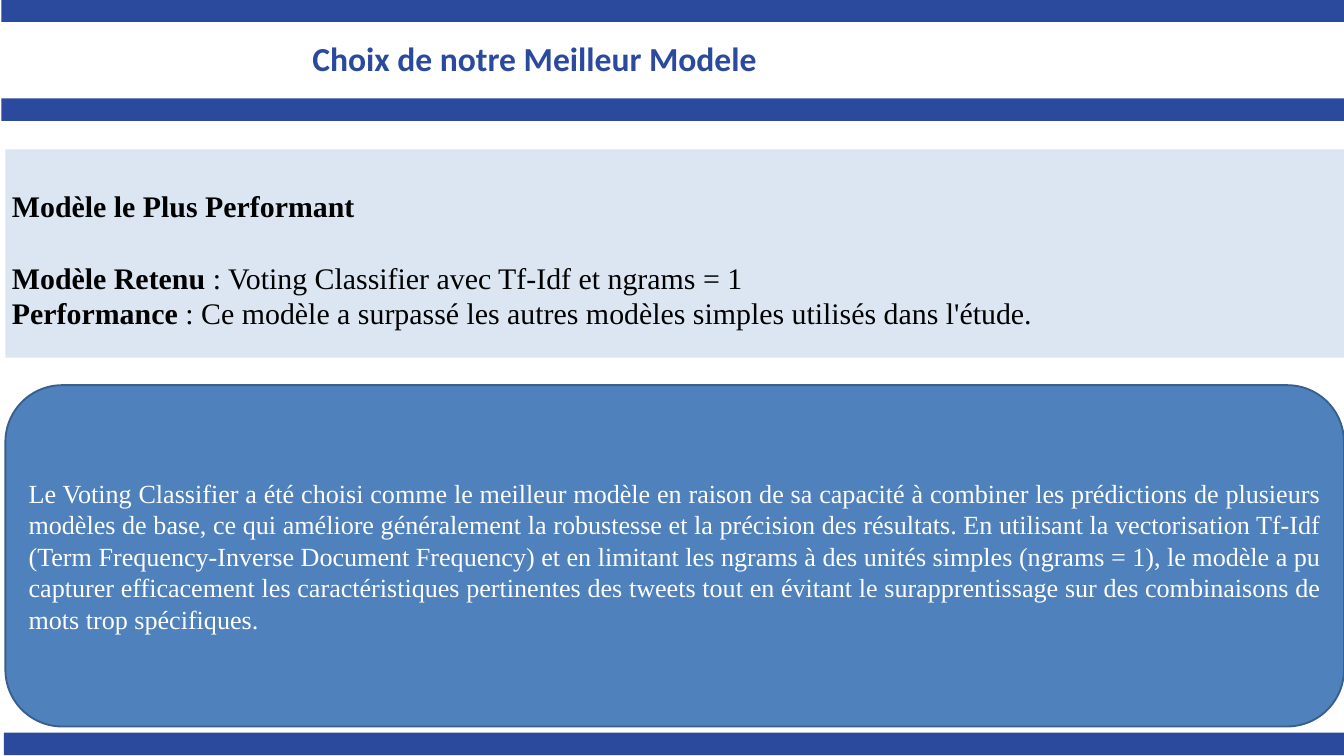
from pptx import Presentation
from pptx import util as u
from pptx.dml.color import RGBColor
from pptx.enum import shapes, text

COLORS = {
    "navy": "2B4A9D",
    "pale": "DCE6F2",
    "blue": "4F81BD",
    "edge": "3A5F8C",
    "black": "000000",
    "white": "FFFFFF",
}
SLIDE_W, SLIDE_H = u.Inches(20), u.Inches(11.25)
SERIF = "Times New Roman"
BAR_HEIGHT = 3

# Boxes are left, top, width, height in percent of the slide
BARS = [(0.1, -0.1), (0.1, 13), (0.3, 96.9)]
TITLE_BOX = (22.75, 4.53, 75.3, 11.64)
MODEL_BOX = (0.4, 19.75, 99.6, 27.55)
REASON_BOX = (0.4, 50.95, 99.6, 45.15)

TITLE = "Choix de notre Meilleur Modele"
HEADING = "Modèle le Plus Performant"
FACTS = [
    ("Modèle Retenu", " : Voting Classifier avec Tf-Idf et ngrams = 1"),
    ("Performance", " : Ce modèle a surpassé les autres modèles simples utilisés dans l'étude."),
]
REASON = (
    "Le Voting Classifier a été choisi comme le meilleur modèle en raison de sa capacité "
    "à combiner les prédictions de plusieurs modèles de base, ce qui améliore généralement "
    "la robustesse et la précision des résultats. En utilisant la vectorisation Tf-Idf "
    "(Term Frequency-Inverse Document Frequency) et en limitant les ngrams à des unités "
    "simples (ngrams = 1), le modèle a pu capturer efficacement les caractéristiques "
    "pertinentes des tweets tout en évitant le surapprentissage sur des combinaisons de "
    "mots trop spécifiques."
)


def color(name):
    return RGBColor.from_string(COLORS[name])


def place(box):
    """Turn percent shares into slide lengths."""
    left, top, width, height = box
    return (int(SLIDE_W * left / 100), int(SLIDE_H * top / 100),
            int(SLIDE_W * width / 100), int(SLIDE_H * height / 100))


def add_panel(slide, kind, box, fill, edge=None):
    panel = slide.shapes.add_shape(kind, *place(box))
    panel.shadow.inherit = False
    panel.fill.solid()
    panel.fill.fore_color.rgb = color(fill)
    if edge:
        panel.line.color.rgb = color(edge)
        panel.line.width = u.Pt(2)
    else:
        panel.line.fill.background()
    return panel


def add_run(paragraph, words, size, shade, font=SERIF, bold=False):
    run = paragraph.add_run()
    run.text = words
    run.font.name = font
    run.font.size = u.Pt(size)
    run.font.bold = bold
    run.font.color.rgb = color(shade)


def add_bars(slide):
    for left, top in BARS:
        add_panel(slide, shapes.MSO_SHAPE.RECTANGLE, (left, top, 100, BAR_HEIGHT), "navy")


def add_title(slide, box):
    frame = slide.shapes.add_textbox(*place(box)).text_frame
    frame.word_wrap = True
    add_run(frame.paragraphs[0], TITLE, 36, "navy", "Calibri", True)


def add_model(slide, box):
    panel = add_panel(slide, shapes.MSO_SHAPE.RECTANGLE, box, "pale")
    frame = panel.text_frame
    frame.word_wrap = True
    frame.vertical_anchor = text.MSO_ANCHOR.TOP
    frame.margin_top = int(panel.height * 0.185)
    heading = frame.paragraphs[0]
    heading.alignment = text.PP_ALIGN.LEFT
    add_run(heading, HEADING, 32, "black", bold=True)
    for index, (label, detail) in enumerate(FACTS):
        fact = frame.add_paragraph()
        fact.alignment = text.PP_ALIGN.LEFT
        if index == 0:
            fact.space_before = u.Pt(38)
        add_run(fact, label, 32, "black", bold=True)
        add_run(fact, detail, 32, "black")


def add_reason(slide, box):
    panel = add_panel(slide, shapes.MSO_SHAPE.ROUNDED_RECTANGLE, box, "blue", "edge")
    frame = panel.text_frame
    frame.word_wrap = True
    frame.vertical_anchor = text.MSO_ANCHOR.MIDDLE
    reason = frame.paragraphs[0]
    reason.alignment = text.PP_ALIGN.JUSTIFY
    add_run(reason, REASON, 28, "white")


def main():
    deck = Presentation()
    deck.slide_width, deck.slide_height = SLIDE_W, SLIDE_H
    slide = deck.slides.add_slide(deck.slide_layouts[6])
    add_bars(slide)
    add_title(slide, TITLE_BOX)
    add_model(slide, MODEL_BOX)
    add_reason(slide, REASON_BOX)
    deck.save("out.pptx")


if __name__ == "__main__":
    main()
